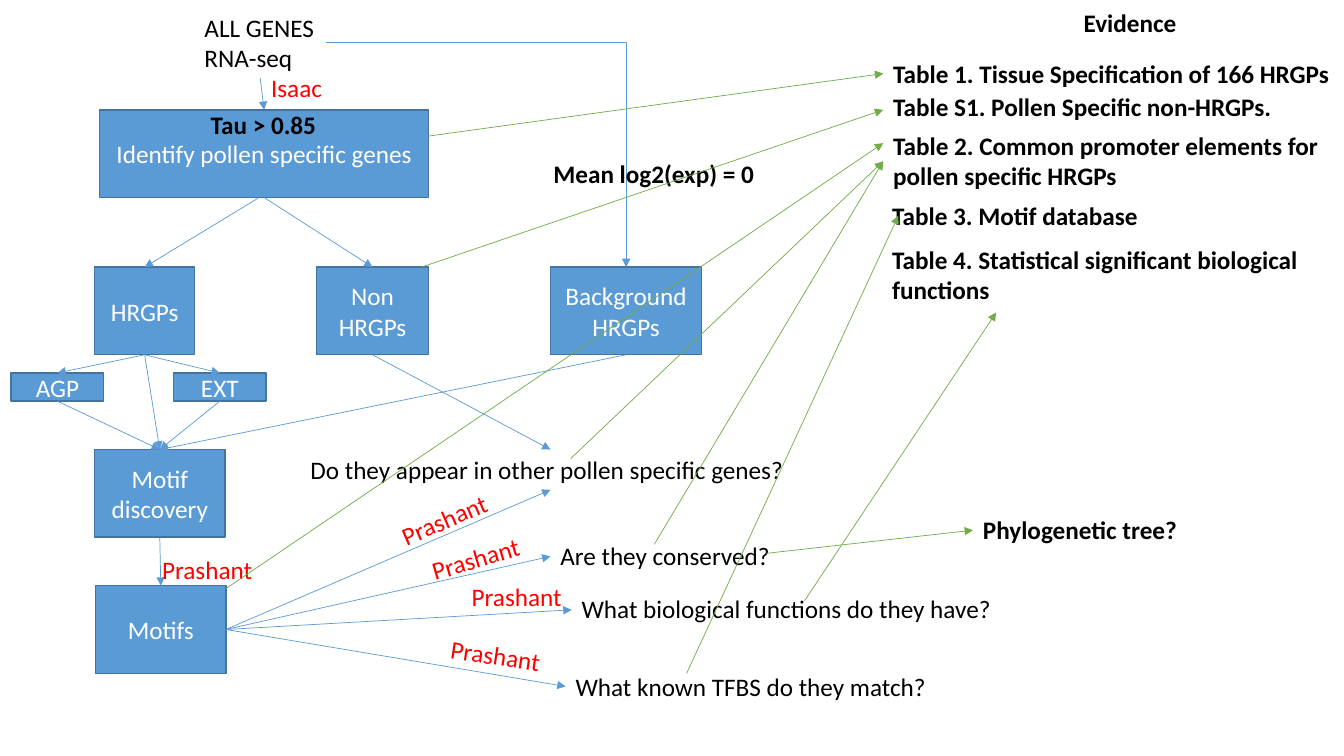
"""Builds the flow chart of pollen specific gene analysis with its evidence list."""
from lxml.etree import SubElement
from pptx import Presentation
from pptx.dml.color import RGBColor
from pptx.enum.shapes import MSO_CONNECTOR, MSO_SHAPE
from pptx.enum.text import MSO_ANCHOR, MSO_AUTO_SIZE, PP_ALIGN
from pptx.oxml.ns import qn
from pptx.util import Inches, Pt

BLUE, EDGE, GREEN = "5B9BD5", "43739E", "70AD47"
BLACK, WHITE, RED = "000000", "FFFFFF", "FF0000"
TOP, LEFT, BOTTOM, RIGHT = range(4)

BOXES = {
    "Identify pollen specific genes": (0.99, 1.09, 3.26, 0.87),
    "Background HRGPs": (5.46, 2.65, 1.5, 0.87),
    "Non HRGPs": (3.14, 2.65, 1.11, 0.87),
    "HRGPs": (0.94, 2.65, 0.99, 0.87),
    "AGP": (0.11, 3.7, 0.92, 0.28),
    "EXT": (1.72, 3.7, 0.92, 0.28),
    "Motif discovery": (0.94, 4.46, 1.29, 0.87),
    "Motifs": (0.95, 5.81, 1.29, 0.87),
}

STEPS = [
    ((2.58, 0.77), ("Identify pollen specific genes", TOP)),
    ((2.57, 1.96), ("HRGPs", TOP)),
    (("Identify pollen specific genes", BOTTOM), ("Non HRGPs", TOP)),
    (("HRGPs", BOTTOM), ("Motif discovery", TOP)),
    (("Background HRGPs", BOTTOM), ("Motif discovery", TOP)),
    (("HRGPs", BOTTOM), ("AGP", TOP)),
    (("HRGPs", BOTTOM), ("EXT", TOP)),
    (("EXT", BOTTOM), ("Motif discovery", TOP)),
    (("AGP", BOTTOM), ("Motif discovery", TOP)),
    (("Motif discovery", BOTTOM), ("Motifs", TOP)),
    (("Non HRGPs", BOTTOM), (5.46, 4.46)),
    (("Motifs", RIGHT), (5.46, 4.86)),
    (("Motifs", RIGHT), (5.46, 5.52)),
    (("Motifs", RIGHT), (5.67, 6.05)),
    (("Motifs", RIGHT), (5.61, 6.81)),
]
BEND = ((3.23, 0.42), (6.21, 2.65))

PROOFS = [
    ((4.25, 1.35), (8.76, 0.73)),
    ((4.18, 2.65), (8.76, 1.09)),
    ((5.66, 4.55), (8.76, 1.6)),
    ((2.24, 5.84), (8.76, 1.42)),
    ((6.49, 5.4), (8.76, 1.6)),
    ((7.98, 5.96), (9.88, 3.1)),
    ((6.81, 6.68), (8.91, 2.14)),
    ((7.6, 5.49), (9.65, 5.26)),
]

PLAIN = [
    ("ALL GENES\nRNA-seq", 1.93, 0.07, 1.3),
    ("Do they appear in other pollen specific genes?", 2.98, 4.46, 4.95),
    ("Are they conserved?", 5.46, 5.31, 2.3),
    ("What biological functions do they have?", 5.67, 5.84, 4.31),
    ("What known TFBS do they match?", 5.61, 6.61, 3.72),
]
STRONG = [
    ("Tau > 0.85", 1.99, 1.04, 1.25),
    ("Mean log2(exp) = 0", 5.39, 1.52, 2.21),
    ("Evidence", 10.65, 0.02, 1.13),
    ("Table 1. Tissue Specification of 166 HRGPs", 8.76, 0.53, 4.57),
    ("Table S1. Pollen Specific non-HRGPs.", 8.76, 0.86, 3.99),
]
WRAPPED = [
    ("Table 2. Common promoter elements for pollen specific HRGPs", 8.76, 1.24, 4.46),
    ("Table 3. Motif database", 8.75, 1.94, 4.45),
    ("Table 4. Statistical significant biological functions", 8.75, 2.37, 4.45),
    ("Phylogenetic tree?", 9.65, 5.05, 2.45),
]
PEOPLE = [
    ("Isaac", 2.59, 0.67, 0.71, 0),
    ("Prashant", 1.51, 5.45, 1.1, 0),
    ("Prashant", 3.86, 4.95, 1.1, -23.3),
    ("Prashant", 4.17, 5.34, 1.1, -16.4),
    ("Prashant", 4.58, 5.72, 1.1, 0),
    ("Prashant", 4.37, 6.3, 1.1, 8.8),
]


def tint(code):
    return RGBColor.from_string(code)


def write(frame, text, color, bold=False, align=PP_ALIGN.LEFT):
    frame.text = text
    for para in frame.paragraphs:
        para.alignment = align
        font = para.font
        font.name, font.size, font.bold = "Calibri", Pt(18), bold
        font.color.rgb = tint(color)


def box(text, place):
    shape = shapes.add_shape(MSO_SHAPE.RECTANGLE, *map(Inches, place))
    shape.shadow.inherit = False
    shape.fill.solid()
    shape.fill.fore_color.rgb = tint(BLUE)
    shape.line.color.rgb = tint(EDGE)
    shape.line.width = Pt(1)
    frame = shape.text_frame
    frame.word_wrap = True
    frame.vertical_anchor = MSO_ANCHOR.MIDDLE
    write(frame, text, WHITE, align=PP_ALIGN.CENTER)
    return shape


def label(text, x, y, w, turn=0, color=BLACK, bold=False, wrap=False):
    tall = "\n" in text or (wrap and len(text) > 40)
    shape = shapes.add_textbox(*map(Inches, (x, y, w, 0.71 if tall else 0.4)))
    shape.rotation = turn
    frame = shape.text_frame
    frame.word_wrap = wrap
    frame.auto_size = MSO_AUTO_SIZE.SHAPE_TO_FIT_TEXT
    write(frame, text, color, bold)


def arrow(start, end, color, kind=MSO_CONNECTOR.STRAIGHT):
    spots = [(0, 0) if isinstance(p[0], str) else p for p in (start, end)]
    link = shapes.add_connector(kind, *[Inches(v) for p in spots for v in p])
    if isinstance(start[0], str):
        link.begin_connect(boxes[start[0]], start[1])
    if isinstance(end[0], str):
        link.end_connect(boxes[end[0]], end[1])
    link.line.color.rgb = tint(color)
    link.line.width = Pt(0.5)
    SubElement(link.line._get_or_add_ln(), qn("a:tailEnd"), type="triangle")
    SubElement(link._element.spPr, qn("a:effectLst"))
    return link


deck = Presentation()
deck.slide_width, deck.slide_height = Inches(13.33), Inches(7.5)
shapes = deck.slides.add_slide(deck.slide_layouts[6]).shapes

boxes = {text: box(text, place) for text, place in BOXES.items()}
for start, end in STEPS:
    arrow(start, end, BLUE)
bend = arrow(*BEND, BLUE, MSO_CONNECTOR.ELBOW)
bend._element.spPr.find(qn("a:prstGeom")).set("prst", "bentConnector2")

for item in PLAIN:
    label(*item)
for item in STRONG:
    label(*item, bold=True)
for item in WRAPPED:
    label(*item, bold=True, wrap=True)
for item in PEOPLE:
    label(*item, color=RED)
for start, end in PROOFS:
    arrow(start, end, GREEN)

deck.save("out.pptx")
